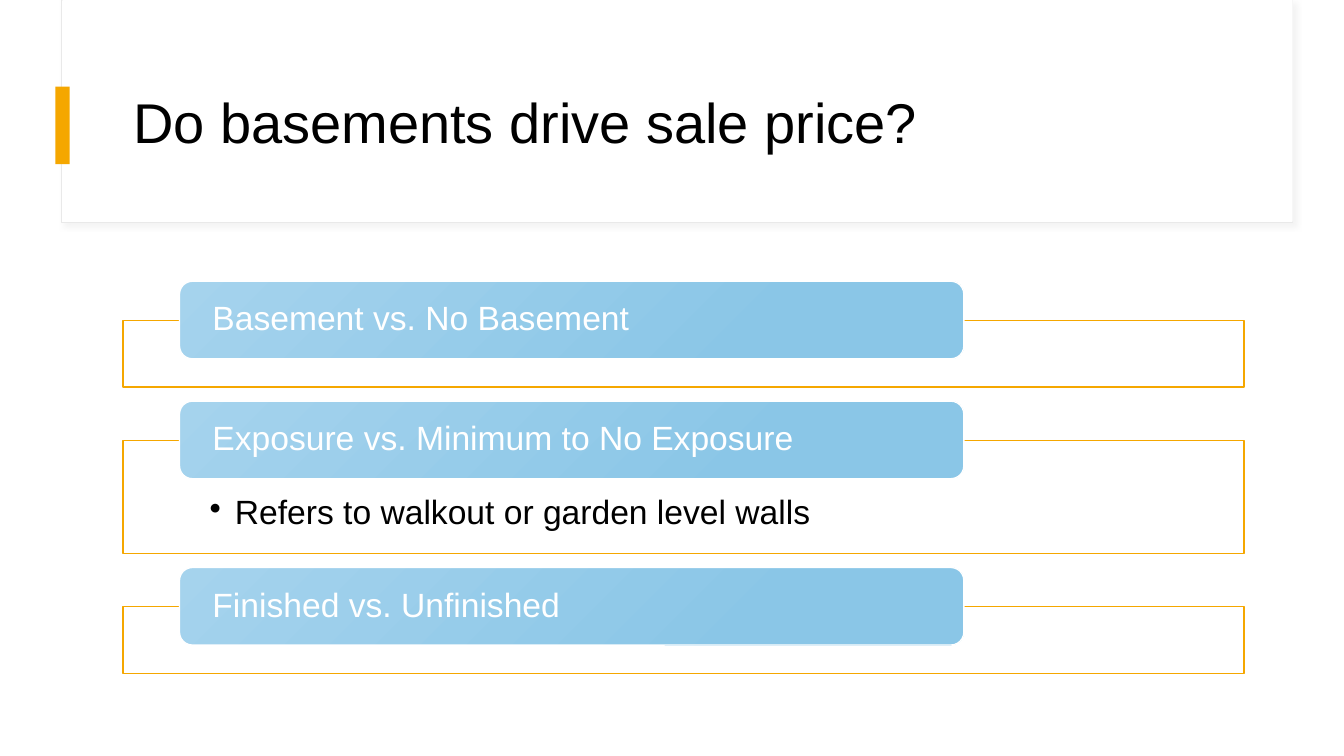
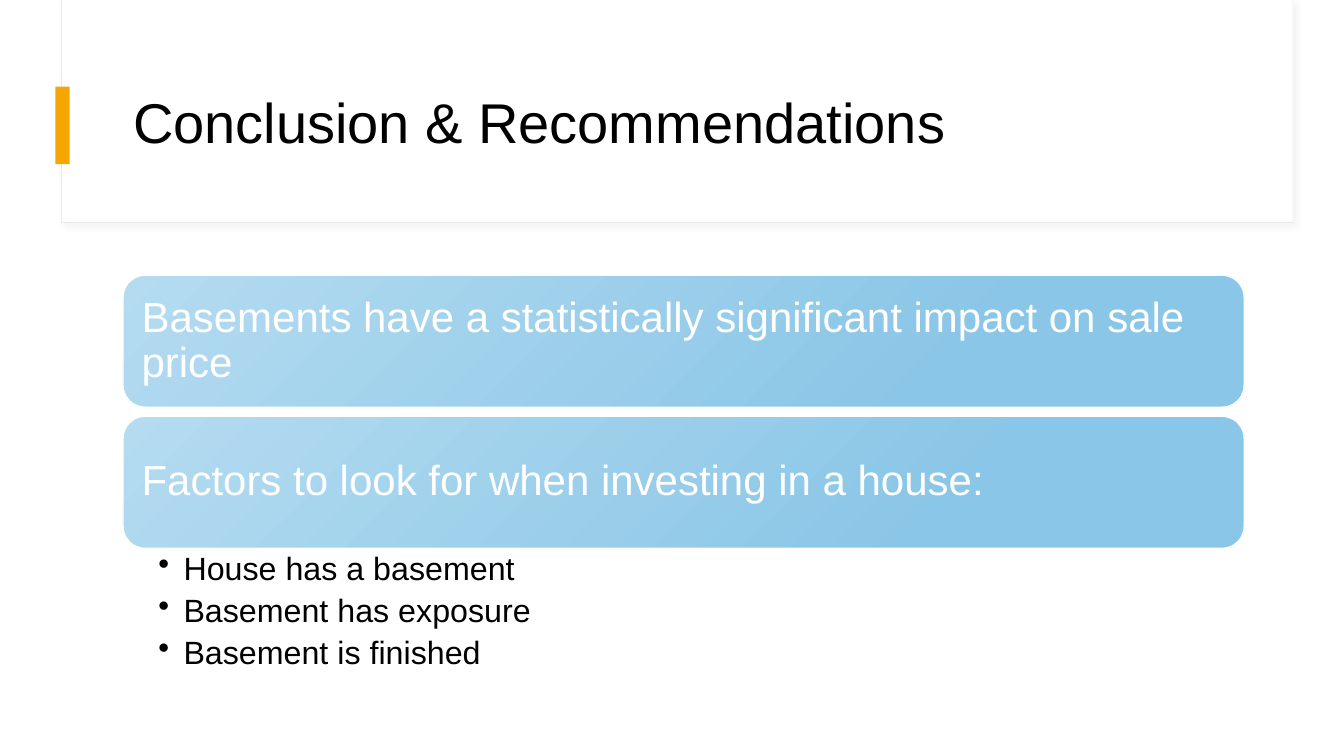
from typing import NamedTuple

from lxml.etree import SubElement
from pptx import Presentation
from pptx.dml.color import RGBColor
from pptx.enum.shapes import MSO_SHAPE
from pptx.enum.text import MSO_ANCHOR, MSO_AUTO_SIZE, PP_ALIGN
from pptx.oxml.ns import qn
from pptx.util import Inches, Pt

FONT = "Arial"
BLACK = RGBColor(0x00, 0x00, 0x00)
WHITE = RGBColor(0xFF, 0xFF, 0xFF)
AMBER = RGBColor(0xF5, 0xA7, 0x00)
BLUE = RGBColor(0x8A, 0xC6, 0xE7)
LIGHT_BLUE = RGBColor(0xA5, 0xD3, 0xED)
PALE_BLUE = RGBColor(0xB4, 0xDB, 0xF0)
FRAME_GRAY = RGBColor(0xE9, 0xE9, 0xE9)
SHADOW_GRAY = RGBColor(0xD9, 0xD9, 0xD9)

CONTENT_LEFT, CONTENT_WIDTH = 1.22, 11.12


class Box(NamedTuple):
    left: float
    top: float
    width: float
    height: float

    def lengths(self):
        return [Inches(value) for value in self]


class Comparison(NamedTuple):
    heading: str
    panel_height: float
    details: tuple[str, ...] = ()


COMPARISONS = (
    Comparison("Basement vs. No Basement", 0.66),
    Comparison("Exposure vs. Minimum to No Exposure", 1.12,
               ("Refers to walkout or garden level walls",)),
    Comparison("Finished vs. Unfinished", 0.66),
)
CONCLUSIONS = (
    "Basements have a statistically significant impact on sale price",
    "Factors to look for when investing in a house:",
)
FACTORS = ("House has a basement", "Basement has exposure", "Basement is finished")


def write_text(frame, lines, *, size: float, color: RGBColor = BLACK,
               margins=(0.1, 0.05, 0.1, 0.05), anchor=MSO_ANCHOR.MIDDLE,
               space_after: float = 0, bullet: bool = False) -> None:
    frame.word_wrap = True
    frame.auto_size = MSO_AUTO_SIZE.NONE
    frame.vertical_anchor = anchor
    (frame.margin_left, frame.margin_top,
     frame.margin_right, frame.margin_bottom) = map(Inches, margins)
    for index, line in enumerate(lines):
        paragraph = frame.paragraphs[0] if index == 0 else frame.add_paragraph()
        paragraph.alignment = PP_ALIGN.LEFT
        paragraph.line_spacing = 0.9
        paragraph.space_after = Pt(space_after)
        run = paragraph.add_run()
        run.text = line
        run.font.name = FONT
        run.font.size = Pt(size)
        run.font.color.rgb = color
        if bullet:
            properties = paragraph._p.get_or_add_pPr()
            properties.set("marL", str(Inches(0.25)))
            properties.set("indent", str(Inches(-0.25)))
            SubElement(properties, qn("a:buChar"), char="•")


def add_block(slide, box: Box, *, fill: RGBColor = WHITE, gradient_from=None,
              line=None, line_width: float = 1, kind=MSO_SHAPE.RECTANGLE):
    block = slide.shapes.add_shape(kind, *box.lengths())
    block.shadow.inherit = False
    if gradient_from is None:
        block.fill.solid()
        block.fill.fore_color.rgb = fill
    else:
        block.fill.gradient()
        block.fill.gradient_angle = 315
        start, end = block.fill.gradient_stops
        start.position, start.color.rgb = 0, gradient_from
        end.position, end.color.rgb = 0.74, fill
    if line is None:
        block.line.fill.background()
    else:
        block.line.color.rgb = line
        block.line.width = Pt(line_width)
    return block


def add_pill(slide, box: Box, text: str, *, gradient_from: RGBColor,
             size: float, margins, space_after: float) -> None:
    pill = add_block(slide, box, fill=BLUE, gradient_from=gradient_from,
                     line=WHITE, kind=MSO_SHAPE.ROUNDED_RECTANGLE)
    write_text(pill.text_frame, [text], size=size, color=WHITE,
               margins=margins, space_after=space_after)


def add_soft_shadow(block) -> None:
    effects = block.element.spPr.find(qn("a:effectLst"))
    shadow = SubElement(effects, qn("a:outerShdw"), blurRad=str(Pt(4)),
                        dist=str(Pt(3)), dir="2700000", algn="tl", rotWithShape="0")
    color = SubElement(shadow, qn("a:srgbClr"), val=str(SHADOW_GRAY))
    SubElement(color, qn("a:alpha"), val="30000")


def add_titled_slide(deck, heading: str):
    slide = deck.slides.add_slide(deck.slide_layouts[5])
    # Header frame and accent bar
    header = add_block(slide, Box(0.61, 0, 12.21, 2.21), line=FRAME_GRAY, line_width=0.75)
    add_soft_shadow(header)
    add_block(slide, Box(0.62, 0, 12.2, 2.2))
    add_block(slide, Box(0.55, 0.86, 0.14, 0.77), fill=AMBER)
    # Title, brought in front of the header
    title = slide.shapes.title
    title.left, title.top, title.width, title.height = Box(
        CONTENT_LEFT, 0.6, CONTENT_WIDTH, 1.29).lengths()
    write_text(title.text_frame, [heading], size=40)
    title.element.getparent().append(title.element)
    return slide


def build_comparisons(deck) -> None:
    slide = add_titled_slide(deck, "Do basements drive sale price?")
    top, gap, pill_rise = 3.18, 0.53, 0.39
    for item in COMPARISONS:
        panel = add_block(slide, Box(CONTENT_LEFT, top, CONTENT_WIDTH, item.panel_height),
                          line=AMBER)
        if item.details:
            write_text(panel.text_frame, item.details, size=24, bullet=True,
                       margins=(0.86, 0.55, 0.86, 0.19), anchor=MSO_ANCHOR.TOP)
        add_pill(slide, Box(1.78, top - pill_rise, 7.78, 0.77), item.heading,
                 gradient_from=LIGHT_BLUE, size=24, margins=(0.29, 0, 0.29, 0),
                 space_after=8)
        top += item.panel_height + gap


def build_conclusion(deck) -> None:
    slide = add_titled_slide(deck, "Conclusion & Recommendations")
    top, pitch, height = 2.73, 1.4, 1.31
    for index, conclusion in enumerate(CONCLUSIONS):
        add_pill(slide, Box(CONTENT_LEFT, top + index * pitch, CONTENT_WIDTH, height),
                 conclusion, gradient_from=PALE_BLUE, size=30, margins=(0.12,) * 4,
                 space_after=10)
    # Factors under the last conclusion
    factors = slide.shapes.add_textbox(
        *Box(CONTENT_LEFT, 5.44, CONTENT_WIDTH, 1.29).lengths())
    write_text(factors.text_frame, FACTORS, size=23, bullet=True, space_after=5.3,
               margins=(0.35, 0.04, 0.23, 0.04), anchor=MSO_ANCHOR.TOP)


def main() -> None:
    deck = Presentation()
    deck.slide_width, deck.slide_height = Inches(13.33), Inches(7.5)
    build_comparisons(deck)
    build_conclusion(deck)
    deck.save("out.pptx")


if __name__ == "__main__":
    main()
